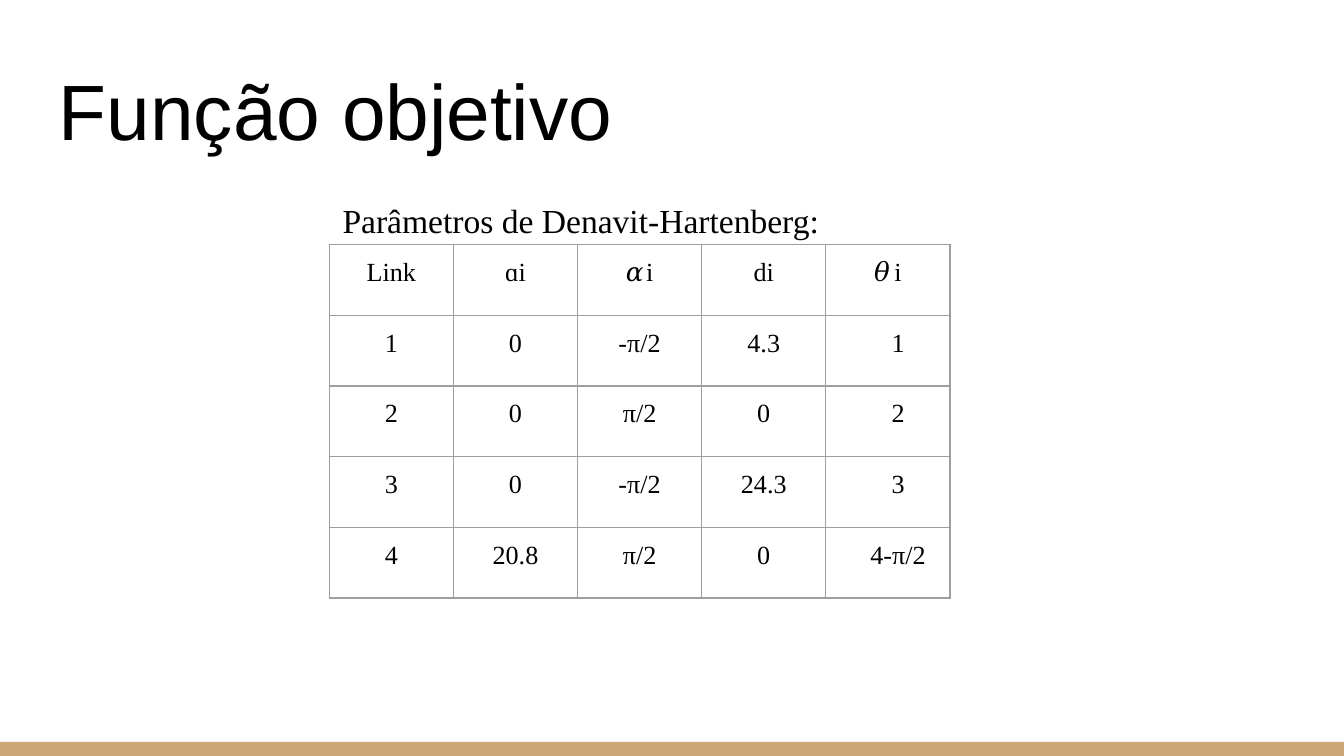
from lxml import etree
from pptx import Presentation
from pptx.dml.color import RGBColor
from pptx.enum import shapes, text
from pptx.oxml import ns
from pptx.util import Inches, Pt

BLACK = RGBColor(0x00, 0x00, 0x00)
TAN = RGBColor(0xCC, 0xA6, 0x77)
GRAY = RGBColor(0x9E, 0x9E, 0x9E)
SERIF = "Times New Roman"
PAD = Inches(0.1)


def write(par, words, size, font):
    run = par.add_run()
    run.text = words
    run.font.size = Pt(size)
    run.font.name = font
    run.font.color.rgb = BLACK


def border(cell):
    props = cell._tc.get_or_add_tcPr()
    for rank, side in enumerate(("lnL", "lnR", "lnT", "lnB")):
        line = etree.Element(ns.qn("a:" + side), w=str(Pt(0.75)))
        fill = etree.SubElement(line, ns.qn("a:solidFill"))
        etree.SubElement(fill, ns.qn("a:srgbClr"), val=str(GRAY))
        props.insert(rank, line)


deck = Presentation()
deck.slide_width = Inches(10)
deck.slide_height = Inches(10) * 9 // 16
slide = deck.slides.add_slide(deck.slide_layouts[6])

band = slide.shapes.add_shape(
    shapes.MSO_SHAPE.RECTANGLE, 0, Inches(5.52), Inches(10), Inches(0.11))
band.shadow.inherit = False
band.fill.solid()
band.fill.fore_color.rgb = TAN
band.line.fill.background()

rows = [
    ["Link", "ɑi", "𝛼i", "di", "𝜃i"],
    ["1", "0", "-π/2", "4.3", "𝜃1"],
    ["2", "0", "π/2", "0", "𝜃2"],
    ["3", "0", "-π/2", "24.3", "𝜃3"],
    ["4", "20.8", "π/2", "0", "𝜃4-π/2"],
]
wide, high = Inches(4.62), Inches(2.63)
table = slide.shapes.add_table(
    len(rows), len(rows[0]), Inches(2.45), Inches(1.82), wide, high).table
table.first_row = False
table.horz_banding = False
for col in table.columns:
    col.width = wide // len(rows[0])
for row, words in zip(table.rows, rows):
    row.height = high // len(rows)
    for cell, word in zip(row.cells, words):
        cell.fill.background()
        cell.margin_left = cell.margin_right = PAD
        cell.margin_top = cell.margin_bottom = PAD
        border(cell)
        par = cell.text_frame.paragraphs[0]
        par.alignment = text.PP_ALIGN.CENTER
        write(par, word, 14, SERIF)

labels = [
    ("Função objetivo", 42, "Arial", (0.34, 0.35, 9.32, 0.91), text.MSO_ANCHOR.BOTTOM),
    ("Parâmetros de Denavit-Hartenberg:", 18, SERIF, (2.45, 1.34, 4.62, 0.38), text.MSO_ANCHOR.TOP),
]
for words, size, font, place, anchor in labels:
    frame = slide.shapes.add_textbox(*map(Inches, place)).text_frame
    frame.word_wrap = True
    frame.vertical_anchor = anchor
    frame.margin_left = frame.margin_right = PAD
    frame.margin_top = frame.margin_bottom = PAD
    write(frame.paragraphs[0], words, size, font)
frame.paragraphs[0].line_spacing = 1.15
frame.paragraphs[0].space_after = Pt(16)

deck.save("out.pptx")
